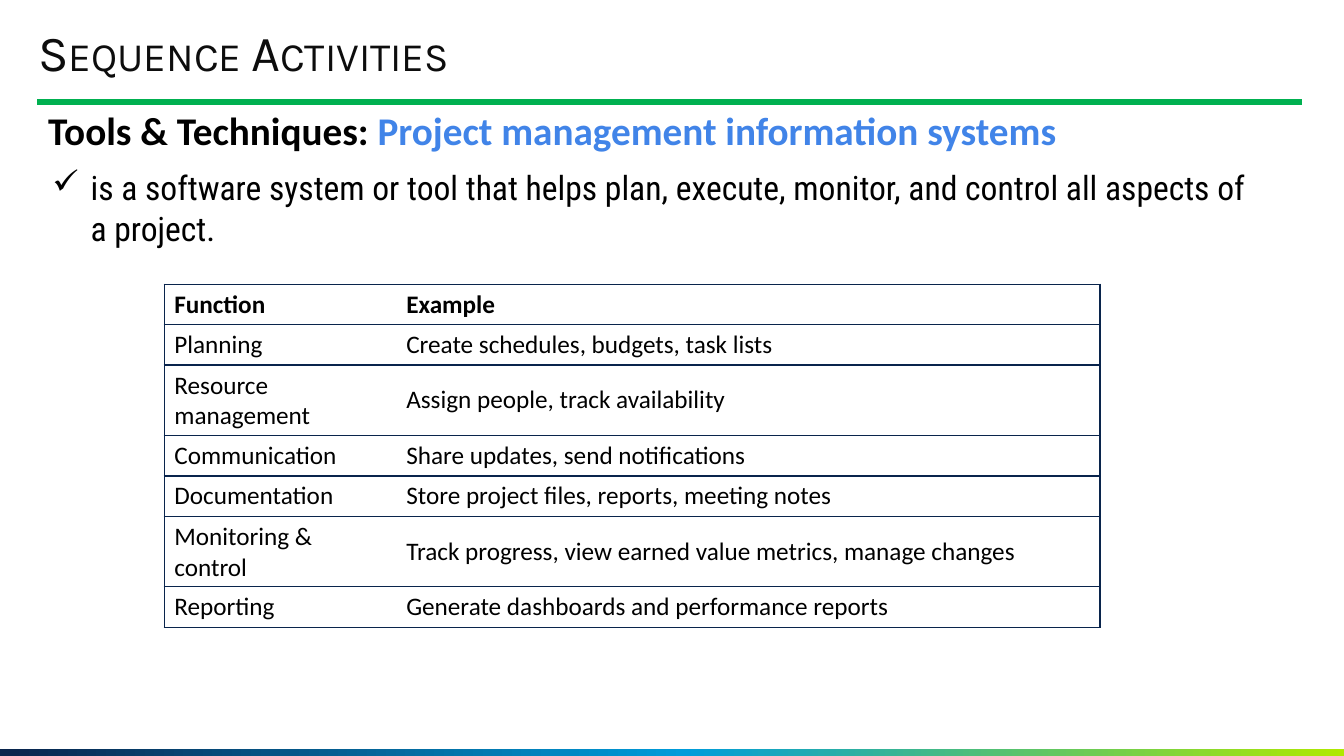
from lxml import etree
from pptx import Presentation
from pptx import util as u
from pptx.dml.color import RGBColor
from pptx.enum import shapes, text
from pptx.oxml import ns

COLORS = {
    "navy": "09244C",
    "cyan": "009CDA",
    "lime": "B0E900",
    "green": "00B050",
    "blue": "4184E8",
    "ink": "0D0D0D",
    "black": "000000",
    "white": "FFFFFF",
}

FUNCTIONS = [
    ("Function", "Example"),
    ("Planning", "Create schedules, budgets, task lists"),
    ("Resource management", "Assign people, track availability"),
    ("Communication", "Share updates, send notifications"),
    ("Documentation", "Store project files, reports, meeting notes"),
    ("Monitoring & control", "Track progress, view earned value metrics, manage changes"),
    ("Reporting", "Generate dashboards and performance reports"),
]
TALL_ROWS = {2, 5}


def add_element(parent, tag, **attributes):
    return etree.SubElement(parent, ns.qn(tag), attributes)


class SlideBuilder:
    def __init__(self, slide):
        self.slide = slide

    def color(self, name):
        return RGBColor.from_string(COLORS[name])

    def add_run(self, paragraph, words, font, size, color="black", bold=False, small_caps=False):
        run = paragraph.add_run()
        run.text = words
        run.font.name = font
        run.font.size = u.Pt(size)
        run.font.bold = bold
        run.font.color.rgb = self.color(color)
        if small_caps:
            run._r.get_or_add_rPr().set("cap", "small")

    def add_text(self, left, top, width, height, margins=(0.1, 0.05), anchor=text.MSO_ANCHOR.TOP):
        shape = self.slide.shapes.add_textbox(
            u.Inches(left), u.Inches(top), u.Inches(width), u.Inches(height))
        frame = shape.text_frame
        frame.word_wrap = True
        frame.vertical_anchor = anchor
        frame.margin_left = frame.margin_right = u.Inches(margins[0])
        frame.margin_top = frame.margin_bottom = u.Inches(margins[1])
        return frame.paragraphs[0]

    def add_bullet(self, paragraph, character, indent):
        properties = paragraph._p.get_or_add_pPr()
        properties.set("marL", str(u.Inches(indent)))
        properties.set("indent", str(-u.Inches(indent)))
        add_element(properties, "a:buChar", char=character)

    def add_gradient_bar(self, left, top, width, height, stops):
        shape = self.slide.shapes.add_shape(
            shapes.MSO_SHAPE.RECTANGLE,
            u.Inches(left), u.Inches(top), u.Inches(width), u.Inches(height))
        shape.shadow.inherit = False
        shape.line.fill.background()
        shape.fill.gradient()
        shape.fill.gradient_angle = 0
        stop_list = shape._element.spPr.find(".//" + ns.qn("a:gsLst"))
        stop_list.clear()
        for percent, color in stops:
            stop = add_element(stop_list, "a:gs", pos=str(percent * 1000))
            add_element(stop, "a:srgbClr", val=COLORS[color])

    def add_rule(self, left, right, y, color, weight):
        connector = self.slide.shapes.add_connector(
            shapes.MSO_CONNECTOR.STRAIGHT,
            u.Inches(left), u.Inches(y), u.Inches(right), u.Inches(y))
        connector.line.color.rgb = self.color(color)
        connector.line.width = u.Pt(weight)
        add_element(connector._element.spPr, "a:effectLst")

    def add_borders(self, cell, sides, color="navy", weight=1):
        properties = cell._tc.get_or_add_tcPr()
        for side in "LRTB":
            if side in sides:
                line = add_element(properties, "a:ln" + side, w=str(u.Pt(weight)))
                fill = add_element(line, "a:solidFill")
                add_element(fill, "a:srgbClr", val=COLORS[color])
            else:
                line = add_element(properties, "a:ln" + side, w="0")
                add_element(line, "a:noFill")

    def add_table(self, left, top, column_widths, row_heights, rows):
        table = self.slide.shapes.add_table(
            len(rows), len(column_widths), u.Inches(left), u.Inches(top),
            u.Inches(sum(column_widths)), u.Inches(sum(row_heights))).table
        table.first_row = table.horz_banding = False
        for column, width in zip(table.columns, column_widths):
            column.width = u.Inches(width)
        for row_index, (row, height) in enumerate(zip(rows, row_heights)):
            table.rows[row_index].height = u.Inches(height)
            for column_index, words in enumerate(row):
                cell = table.cell(row_index, column_index)
                self.add_borders(cell, "LTB" if column_index == 0 else "RTB")
                cell.fill.solid()
                cell.fill.fore_color.rgb = self.color("white")
                cell.vertical_anchor = text.MSO_ANCHOR.MIDDLE
                self.add_run(cell.text_frame.paragraphs[0], words, "Calibri", 18,
                             bold=row_index == 0)


def main():
    presentation = Presentation()
    presentation.slide_width = u.Inches(13.33)
    presentation.slide_height = u.Inches(7.5)
    builder = SlideBuilder(presentation.slides.add_slide(presentation.slide_layouts[6]))

    builder.add_gradient_bar(0, 7.43, 13.33, 0.07, [(0, "navy"), (51, "cyan"), (100, "lime")])
    builder.add_rule(0.37, 12.91, 1.01, "green", 4.5)

    title = builder.add_text(0.38, 0.27, 11.19, 0.55, (0, 0), text.MSO_ANCHOR.MIDDLE)
    title.line_spacing = 0.9
    builder.add_run(title, "Sequence Activities", "Karla", 36, "ink", small_caps=True)

    heading = builder.add_text(0.38, 1.06, 12.53, 0.55)
    heading.line_spacing = 0.9
    builder.add_run(heading, "Tools & Techniques: ", "Calibri", 28, bold=True)
    builder.add_run(heading, "Project management information systems", "Calibri", 28, "blue", bold=True)

    definition = builder.add_text(0.42, 1.61, 12.11, 0.91)
    builder.add_bullet(definition, "✓", 0.38)
    builder.add_run(
        definition,
        "is a software system or tool that helps plan, execute, monitor, "
        "and control all aspects of a project.",
        "Roboto Condensed", 24)

    row_heights = [0.7 if index in TALL_ROWS else 0.4 for index in range(len(FUNCTIONS))]
    builder.add_table(1.63, 2.82, [2.3, 6.98], row_heights, FUNCTIONS)

    presentation.save("out.pptx")


if __name__ == "__main__":
    main()
